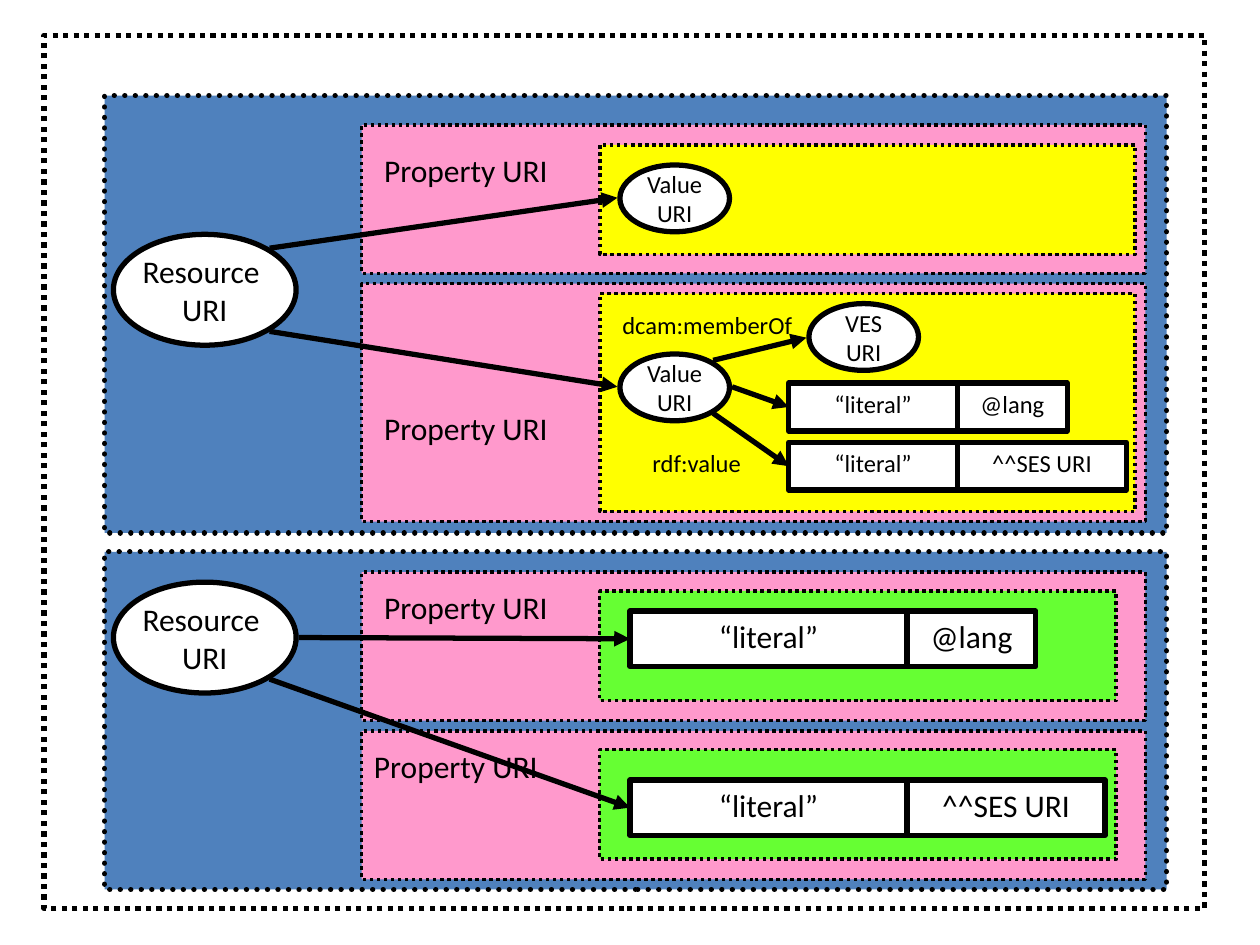
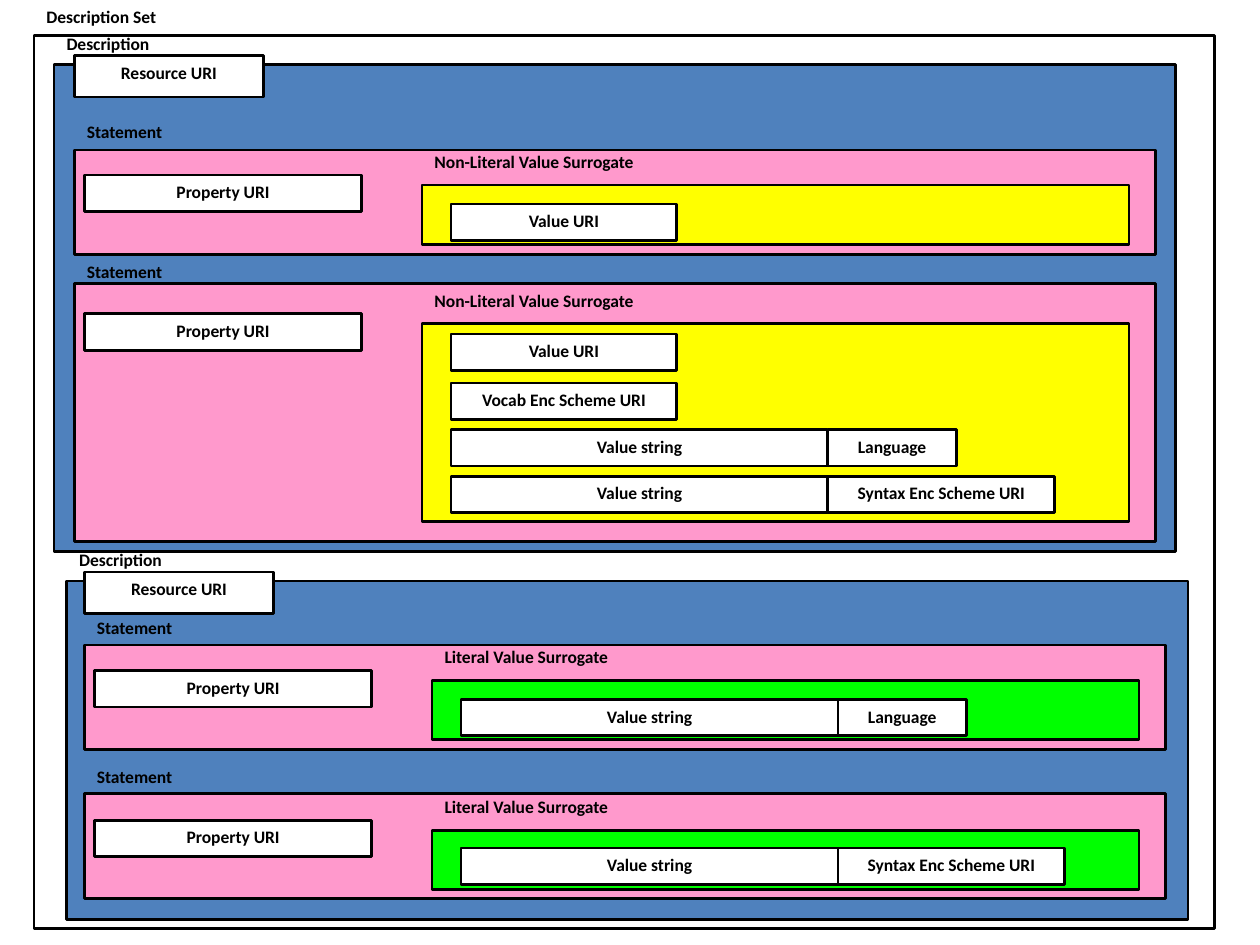
"""Build two slides on description sets: a graph view and a nested record view."""
from copy import deepcopy
from dataclasses import dataclass

from lxml.etree import SubElement
from pptx import Presentation
from pptx.dml.color import RGBColor
from pptx.enum.dml import MSO_LINE
from pptx.enum.shapes import MSO_CONNECTOR, MSO_SHAPE
from pptx.enum.text import MSO_ANCHOR, PP_ALIGN
from pptx.oxml.ns import qn
from pptx.util import Inches, Pt


@dataclass(frozen=True)
class Theme:
    font: str = "Calibri"
    ink: str = "000000"
    paper: str = "FFFFFF"
    description: str = "4F81BD"
    statement: str = "FF99CC"
    non_literal: str = "FFFF00"
    literal_soft: str = "66FF33"
    literal: str = "00FF00"
    large: int = 18
    medium: int = 14
    small: int = 10
    heavy: float = 3
    dotted: float = 2
    thin: float = 1.5


theme = Theme()


def block(slide, at, text="", *, fill=None, line=None, size=theme.large, bold=False,
          align=PP_ALIGN.LEFT, oval=False, dash=None, cap="flat"):
    bounds = [Inches(value) for value in at]
    if line is None:
        shape = slide.shapes.add_textbox(*bounds)
    else:
        outline = MSO_SHAPE.OVAL if oval else MSO_SHAPE.RECTANGLE
        shape = slide.shapes.add_shape(outline, *bounds)
        shape.shadow.inherit = False
        shape.line.color.rgb = RGBColor.from_string(theme.ink)
        shape.line.width = Pt(line)
        if dash:
            shape.line.dash_style = dash
        shape._element.spPr.find(qn("a:ln")).set("cap", cap)
        if fill:
            shape.fill.solid()
            shape.fill.fore_color.rgb = RGBColor.from_string(fill)
        else:
            shape.fill.background()
    if text:
        frame = shape.text_frame
        frame.word_wrap = not oval
        frame.vertical_anchor = MSO_ANCHOR.MIDDLE if oval else MSO_ANCHOR.TOP
        paragraph = frame.paragraphs[0]
        paragraph.text = text
        paragraph.alignment = align
        for run in paragraph.runs:
            run.font.name = theme.font
            run.font.size = Pt(size)
            run.font.bold = bold
            run.font.color.rgb = RGBColor.from_string(theme.ink)
        for line_break in paragraph._p.findall(qn("a:br")):
            line_break.append(deepcopy(paragraph.runs[0]._r.rPr))
    return shape


def arrow(slide, start, end, target=None):
    points = [Inches(value) for value in (*start, *end)]
    link = slide.shapes.add_connector(MSO_CONNECTOR.STRAIGHT, *points)
    link.line.color.rgb = RGBColor.from_string(theme.ink)
    link.line.width = Pt(theme.heavy)
    if target is not None:
        link.end_connect(target, 1)
    properties = link._element.spPr
    SubElement(properties.find(qn("a:ln")), qn("a:tailEnd"), type="triangle")
    SubElement(properties, qn("a:effectLst"))


deck = Presentation()
deck.slide_width = Inches(10)
deck.slide_height = Inches(7.5)
blank = deck.slide_layouts[6]

graph = deck.slides.add_slide(blank)
dots = MSO_LINE.ROUND_DOT
for top, height in [(0.76, 3.47), (4.38, 2.68)]:
    block(graph, (0.83, top, 8.43, height), fill=theme.description,
          line=theme.heavy, dash=dots, cap="rnd")
for top, height in [(0.99, 1.18), (2.25, 1.89), (4.54, 1.18), (5.8, 1.18)]:
    block(graph, (2.87, top, 6.22, height), fill=theme.statement,
          line=theme.dotted, dash=dots)
for top, width, height, colour in [
    (1.15, 4.25, 0.87, theme.non_literal),
    (2.33, 4.25, 1.73, theme.non_literal),
    (4.69, 4.1, 0.87, theme.literal_soft),
    (5.95, 4.1, 0.87, theme.literal_soft),
]:
    block(graph, (4.76, top, width, height), fill=colour, line=theme.dotted, dash=dots)
block(graph, (0.35, 0.28, 9.21, 6.93), line=theme.heavy, dash=dots)

for text, left, top, width, height, size in [
    ("Resource \nURI", 0.9, 1.86, 1.45, 0.88, theme.large),
    ("Resource \nURI", 0.9, 4.62, 1.45, 0.88, theme.large),
    ("Value\nURI", 4.92, 1.31, 0.87, 0.53, theme.medium),
    ("Value\nURI", 4.92, 2.81, 0.87, 0.53, theme.medium),
    ("VES\nURI", 6.42, 2.41, 0.87, 0.53, theme.medium),
]:
    block(graph, (left, top, width, height), text, fill=theme.paper, line=theme.heavy,
          size=size, align=PP_ALIGN.CENTER, oval=True)

for start, end in [
    ((2.14, 1.97), (4.9, 1.57)),
    ((2.14, 2.63), (4.9, 3.07)),
    ((5.66, 2.86), (6.4, 2.68)),
]:
    arrow(graph, start, end)

for start, left, top, height, literal_width, qualifier, qualifier_width, size in [
    ((5.81, 3.07), 6.26, 3.04, 0.38, 1.34, "@lang", 0.87, theme.medium),
    ((5.66, 3.28), 6.26, 3.51, 0.38, 1.34, "^^SES URI", 1.34, theme.medium),
    ((2.37, 5.06), 5, 4.85, 0.44, 2.2, "@lang", 1.02, theme.large),
    ((2.14, 5.39), 5, 6.19, 0.44, 2.2, "^^SES URI", 1.57, theme.large),
]:
    literal_box = block(graph, (left, top, literal_width, height), "“literal”",
                        fill=theme.paper, line=theme.heavy, size=size,
                        align=PP_ALIGN.CENTER)
    block(graph, (left + literal_width, top, qualifier_width, height), qualifier,
          fill=theme.paper, line=theme.heavy, size=size, align=PP_ALIGN.CENTER)
    arrow(graph, start, (left, top + height / 2), literal_box)

for left, top in [(2.95, 1.15), (2.95, 3.2), (2.95, 4.62), (2.87, 5.88)]:
    block(graph, (left, top, 2.2, 0.4), "Property URI")
block(graph, (4.84, 2.41, 1.89, 0.33), "dcam:memberOf", size=theme.medium)
block(graph, (5.08, 3.51, 1.02, 0.33), "rdf:value", size=theme.medium)

record = deck.slides.add_slide(blank)
label = dict(size=theme.small, bold=True)
field = dict(label, fill=theme.paper, line=theme.thin, align=PP_ALIGN.CENTER)
value_uri = [("Value URI", 1.79)]
scheme_uri = [("Vocab Enc Scheme URI", 1.79)]
language_string = [("Value string", 2.99), ("Language", 1.02)]
syntax_string = [("Value string", 2.99), ("Syntax Enc Scheme URI", 1.8)]

block(record, (0.27, 0.28, 9.37, 7.09), line=theme.thin)
block(record, (0.27, 0, 1.51, 0.28), "Description Set", **label)

descriptions = [
    (0.43, 0.51, 3.87, 0.59, "Non-Literal Value Surrogate", theme.non_literal, [
        (0.91, 1.19, 0.83, 1.47, 0.47, [(1.62, value_uri)]),
        (2.02, 2.25, 2.05, 2.57, 1.57, [(2.65, value_uri), (3.04, scheme_uri),
                                        (3.41, language_string),
                                        (3.78, syntax_string)]),
    ]),
    (0.53, 4.61, 2.69, 0.67, "Literal Value Surrogate", theme.literal, [
        (4.85, 5.12, 0.83, 5.4, 0.47, [(5.55, language_string)]),
        (6.03, 6.3, 0.83, 6.59, 0.47, [(6.73, syntax_string)]),
    ]),
]
for left, top, height, inner, surrogate, colour, statements in descriptions:
    block(record, (left, top, 8.9, height), fill=theme.description, line=theme.thin)
    block(record, (left, top - 0.3, 1.54, 0.44), "Description", **label)
    block(record, (inner, top - 0.07, 1.5, 0.33), "Resource URI", **field)
    for (label_top, statement_top, statement_height,
         surrogate_top, surrogate_height, rows) in statements:
        block(record, (inner, statement_top, 8.58, statement_height),
              fill=theme.statement, line=theme.thin)
        block(record, (inner, label_top, 1.05, 0.27), "Statement", **label)
        block(record, (inner + 0.08, surrogate_top - 0.08, 2.2, 0.29),
              "Property URI", **field)
        block(record, (inner + 2.76, surrogate_top, 5.61, surrogate_height),
              fill=colour, line=theme.thin)
        block(record, (inner + 2.76, surrogate_top - 0.32, 2.13, 0.24),
              surrogate, **label)
        for row_top, cells in rows:
            cell_left = inner + 2.99
            for text, width in cells:
                block(record, (cell_left, row_top, width, 0.29), text, **field)
                cell_left += width

deck.save("out.pptx")
